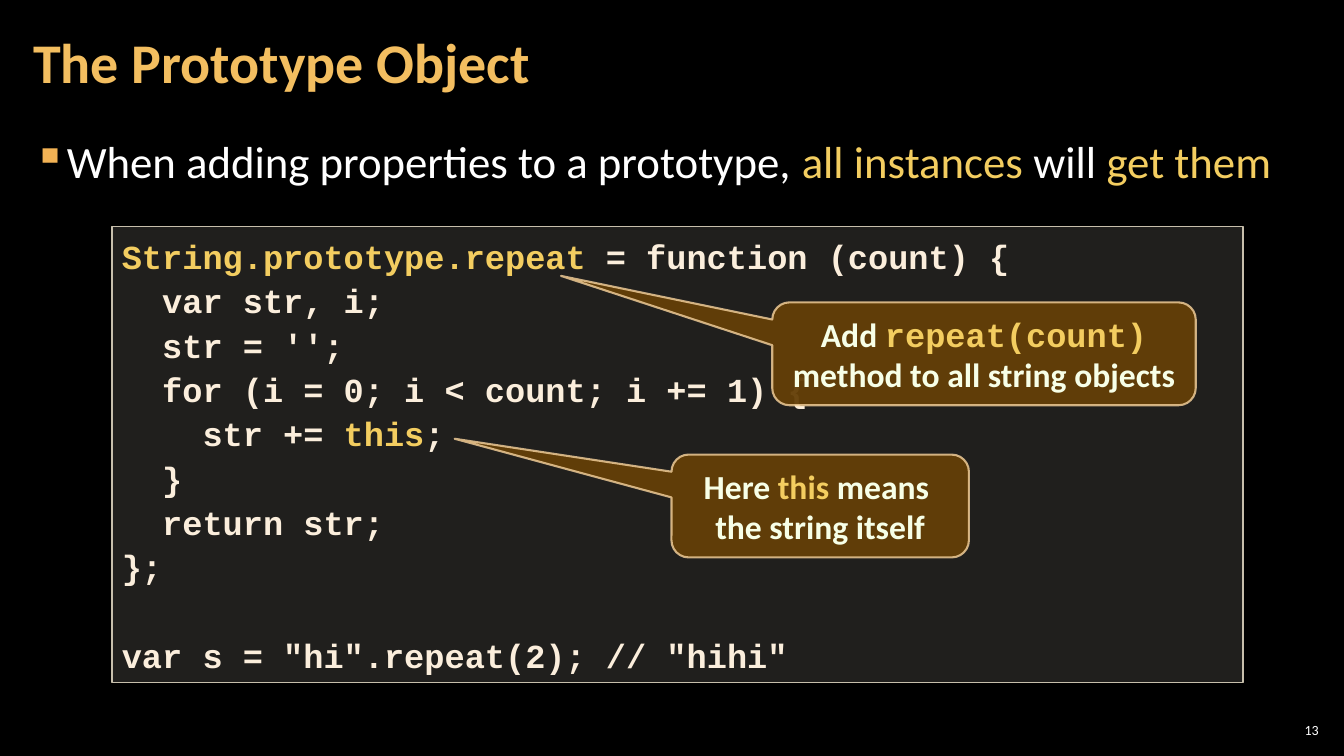
from dataclasses import dataclass

from lxml import etree
from pptx import Presentation
from pptx.dml.color import RGBColor
from pptx.enum.shapes import MSO_SHAPE
from pptx.enum.text import MSO_ANCHOR, PP_ALIGN
from pptx.oxml.ns import qn
from pptx.util import Inches, Pt

RECT = MSO_SHAPE.RECTANGLE
CALLOUT = MSO_SHAPE.ROUNDED_RECTANGULAR_CALLOUT
TOP, MIDDLE = MSO_ANCHOR.TOP, MSO_ANCHOR.MIDDLE
LEFT, CENTER, RIGHT = PP_ALIGN.LEFT, PP_ALIGN.CENTER, PP_ALIGN.RIGHT


@dataclass(frozen=True)
class Theme:
    sans: str = "Calibri"
    mono: str = "Courier New"
    back: str = "000000"
    white: str = "FFFFFF"
    title: str = "F3BE60"
    accent: str = "F3CD60"
    bullet: str = "F2B254"
    code: str = "FBEEDC"
    panel: str = "D9D5C7"
    edge: str = "C7BFAC"
    note: str = "F7FFE7"
    brown: str = "643F07"
    rim: str = "F8D49E"
    title_size: int = 40
    body_size: int = 32
    text_size: int = 24
    page_size: int = 10


THEME = Theme()


def rgb(color):
    return RGBColor.from_string(color)


def fade(fill, color, alpha):
    """Set a solid colour with an opacity in percent."""
    fill.solid()
    fill.fore_color.rgb = rgb(color)
    node = next(fill._xPr.iter(qn("a:solidFill")))[0]
    etree.SubElement(node, qn("a:alpha"), val=str(alpha * 1000))


def write(frame, lines, size, color, font=THEME.sans, bold=False, align=LEFT,
          anchor=TOP, inset=(0.1, 0.05), spacing=None):
    """Fill a frame; each line is a list of strings or (string, format) pairs."""
    frame.word_wrap = True
    frame.vertical_anchor = anchor
    frame.margin_left = frame.margin_right = Inches(inset[0])
    frame.margin_top = frame.margin_bottom = Inches(inset[1])
    for i, line in enumerate(lines):
        para = frame.add_paragraph() if i else frame.paragraphs[0]
        para.alignment = align
        if spacing:
            para.line_spacing = spacing
        for part in line:
            if part == "\n":
                para.add_line_break()
                continue
            words, look = (part, {}) if isinstance(part, str) else part
            run = para.add_run()
            run.text = words
            run.font.name = look.get("font", font)
            run.font.size = Pt(size)
            run.font.bold = bold
            run.font.color.rgb = rgb(look.get("color", color))
    return frame.paragraphs


class Deck:
    def __init__(self, theme):
        self.theme = theme
        self.prs = Presentation()
        self.prs.slide_width = Inches(13.33)
        self.prs.slide_height = Inches(7.5)
        self.slide = self.prs.slides.add_slide(self.prs.slide_layouts[6])
        fill = self.slide.background.fill
        fill.solid()
        fill.fore_color.rgb = rgb(theme.back)

    def text(self, box, lines, **look):
        shape = self.slide.shapes.add_textbox(*map(Inches, box))
        return write(shape.text_frame, lines, **look)

    def shape(self, kind, box, fill, alpha, line, width):
        shape = self.slide.shapes.add_shape(kind, *map(Inches, box))
        shape.shadow.inherit = False
        fade(shape.fill, fill, alpha)
        shape.line.color.rgb = rgb(line)
        shape.line.width = Pt(width)
        return shape

    def bullet(self, box, line):
        t = self.theme
        para = self.text(box, [line], size=t.body_size, color=t.white,
                         inset=(0.12, 0.04), spacing=1.05)[0]
        para.space_after = Pt(6)
        props = para._p.get_or_add_pPr()
        props.set("marL", str(Inches(0.33)))
        props.set("indent", str(-Inches(0.33)))
        tint = etree.SubElement(props, qn("a:buClr"))
        etree.SubElement(tint, qn("a:srgbClr"), val=t.bullet)
        etree.SubElement(props, qn("a:buChar"), char="▪")

    def code(self, box, lines):
        t = self.theme
        shape = self.shape(RECT, box, t.panel, 15, t.edge, 1)
        return write(shape.text_frame, lines, size=t.text_size, color=t.code,
                     font=t.mono, bold=True, spacing=1.1)

    def callout(self, box, tip, line):
        """Add a note whose tip is given as shares of its width and height."""
        t = self.theme
        shape = self.shape(CALLOUT, box, t.brown, 95, t.rim, 1.5)
        fade(shape.line.fill, t.rim, 80)
        for i, value in enumerate((*tip, 0.167)):
            shape.adjustments[i] = value
        write(shape.text_frame, [line], size=t.text_size, color=t.note,
              bold=True, align=CENTER, anchor=MIDDLE)


def main():
    t = THEME
    deck = Deck(t)
    gold = {"color": t.accent}

    deck.bullet((0.21, 1.26, 12.91, 0.9), [
        "When adding properties to a prototype, ", ("all instances ", gold),
        "will ", ("get them", gold)])
    deck.text((0.21, 0.04, 10.47, 1.21), [["The Prototype Object"]],
              size=t.title_size, color=t.title, bold=True, anchor=MIDDLE,
              inset=(0.12, 0.04), spacing=0.9)
    rows = deck.code((1.11, 2.25, 11.22, 4.52), [
        [("String.prototype.repeat", gold), " = function (count) {"],
        ["  var str, i;"],
        ["  str = '';"],
        ["  for (i = 0; i < count; i += 1) {"],
        ["    str += ", ("this", gold), ";"],
        ["  }"],
        ["  return str;"],
        ["};"],
        ["var s = \"hi\".repeat(2); // \"hihi\""]])
    rows[-1].space_before = Pt(31.5)
    deck.callout((7.66, 3, 4.2, 1.02), (-0.999, -0.758), [
        "Add ", ("repeat(count)", {"font": t.mono, **gold}),
        " method to all string objects"])
    deck.callout((6.66, 4.51, 2.95, 1.02), (-1.229, -0.654), [
        "Here ", ("this ", gold), "means ", "\n", "the string itself"])
    deck.text((12.65, 7.14, 0.47, 0.21), [["13"]], size=t.page_size,
              color=t.white, align=RIGHT, anchor=MIDDLE, inset=(0.04, 0.04))
    deck.prs.save("out.pptx")


if __name__ == "__main__":
    main()
